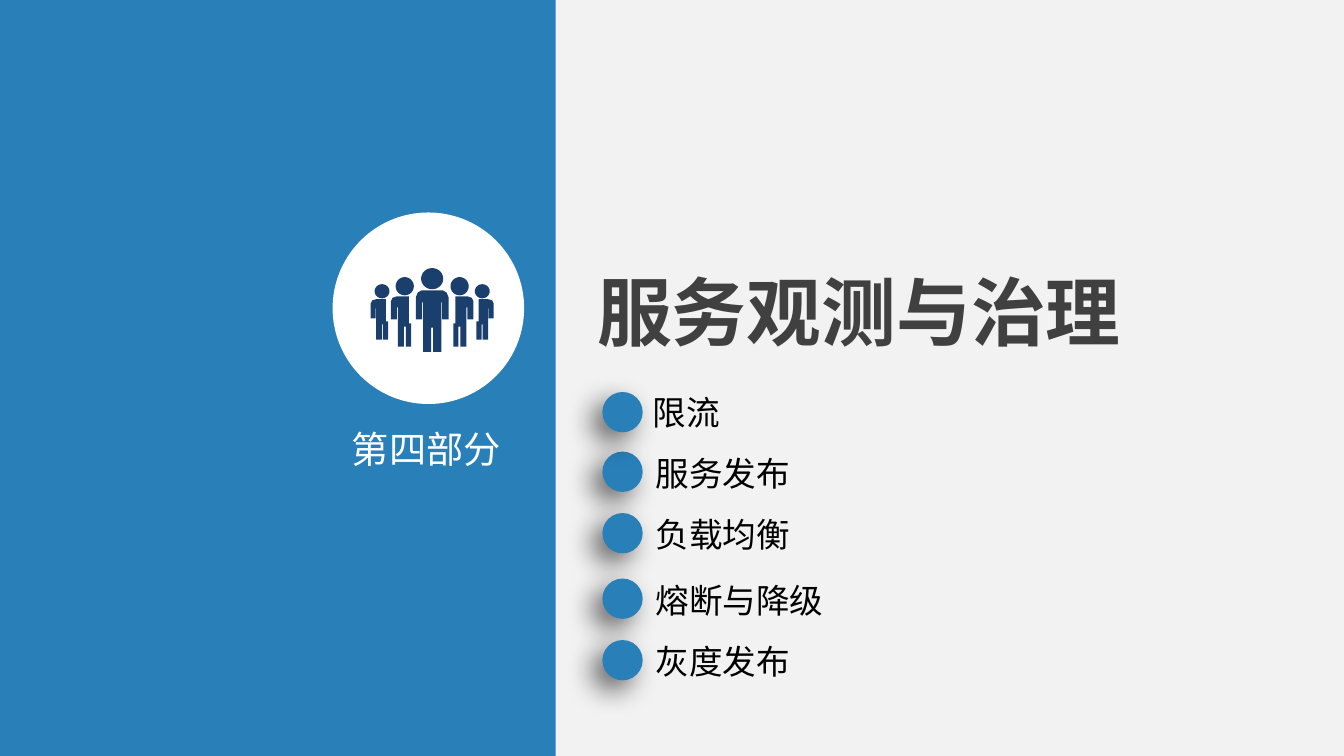
import math
import pptx
import pptx.util
import pptx.dml.color
import pptx.enum.shapes
import pptx.enum.text
import pptx.oxml
import pptx.oxml.ns

Pt = pptx.util.Pt
RGB = pptx.dml.color.RGBColor.from_string
Kind = pptx.enum.shapes.MSO_SHAPE

theme = {
    "back": "F2F2F2", "blue": "2980B9", "navy": "1A3F6C", "white": "FFFFFF",
    "dark": "404040", "black": "000000",
    "title": 53.4, "part": 26.6, "item": 24,
    "latin": "Arial", "cjk": "Noto Sans CJK SC",
}

deck = pptx.Presentation()
deck.slide_width, deck.slide_height = Pt(960), Pt(540)
slide = deck.slides.add_slide(deck.slide_layouts[6])
slide.background.fill.solid()
slide.background.fill.fore_color.rgb = RGB(theme["back"])


def paint(shape, color):
    shape.shadow.inherit = False
    shape.fill.solid()
    shape.fill.fore_color.rgb = RGB(theme[color])
    shape.line.fill.background()
    return shape


def write(text, box, size, font, color, bold=False, wrap=False, inset=True):
    frame = slide.shapes.add_textbox(*map(Pt, box)).text_frame
    frame.word_wrap = wrap
    frame.auto_size = pptx.enum.text.MSO_AUTO_SIZE.SHAPE_TO_FIT_TEXT
    if not inset:
        frame.margin_left = frame.margin_right = 0
        frame.margin_top = frame.margin_bottom = 0
    run = frame.paragraphs[0].add_run()
    run.text = text
    run.font.size = Pt(theme[size])
    run.font.bold = bold
    run.font.name = theme[font]
    run.font.color.rgb = RGB(theme[color])
    east = pptx.oxml.parse_xml(
        f'<a:ea {pptx.oxml.ns.nsdecls("a")} typeface="{theme[font]}"/>')
    run.font._element.find(pptx.oxml.ns.qn("a:latin")).addnext(east)


# Left panel, title and part label
paint(slide.shapes.add_shape(Kind.RECTANGLE, 0, 0, Pt(397), Pt(540)), "blue")
write("服务观测与治理", (419.5, 186.5, 388, 72), "title", "latin", "dark", bold=True)
write("第四部分", (251.3, 304.2, 130.3, 32.4), "part", "cjk", "white",
      wrap=True, inset=False)

# White disc
paint(slide.shapes.add_shape(Kind.OVAL, Pt(237.6), Pt(151.8), Pt(136.8), Pt(136.8)),
      "white")

# Group of five people: offsets from the middle axis
axis = 308.7
half = [(0.7, 234), (0.7, 251.3), (6.5, 251.3), (6.5, 216), (7.2, 216),
        (7.2, 228.2), (11.7, 228.2), (11.7, 212.4), (10.3, 209), (7.5, 207.4)]
inner = [(15.1, 231.1), (15.1, 247.7), (18.7, 247.7), (18.7, 233.3), (20.2, 233.3),
         (20.2, 247.7), (24.5, 247.7), (24.5, 219.6), (25.2, 219.6), (25.2, 228.2),
         (29.5, 228.2), (29.5, 215.3), (28.3, 212.8), (25.2, 211.7), (16.6, 211.7),
         (16.6, 231.1)]
outer = [(31.5, 229.7), (31.5, 242.6), (35.3, 242.6), (35.3, 231.8), (36, 231.8),
         (36, 242.6), (40, 242.6), (40, 220.3), (40.3, 220.3), (40.3, 227.5),
         (43.9, 227.5), (43.9, 216.7), (42.8, 214.6), (40, 213.8), (33.1, 213.8),
         (33.1, 229.7)]
whole = half + [(-x, y) for x, y in reversed(half)]
# Side, body outline, head (offset, middle, width, height)
crowd = [(1, whole, (0, 199.1, 15.8, 15.1))]
for side in (-1, 1):
    crowd.append((side, inner, (19.6, 204.5, 13, 13)))
    crowd.append((side, outer, (35.8, 208.1, 10.6, 10.1)))

rings = []
for side, body, (off, mid, wide, high) in crowd:
    turns = [math.tau * step / 32 for step in range(32)]
    head = [(off + wide / 2 * math.cos(turn), mid + high / 2 * math.sin(turn))
            for turn in turns]
    for ring in (body, head):
        rings.append([(100 * (axis + side * x), 100 * y) for x, y in ring])

pen = slide.shapes.build_freeform(*rings[0][0], scale=Pt(0.01))
for ring in rings:
    if ring is not rings[0]:
        pen.move_to(*ring[0])
    pen.add_line_segments(ring[1:], close=True)
paint(pen.convert_to_shape(), "navy")

# Topic list: text, text left and top, text width, dot top
topics = [
    ("服务发布", 461.2, 319.7, 110.2, 322.6),
    ("负载均衡", 461.2, 363.6, 110.2, 366.5),
    ("熔断与降级", 461.2, 410.4, 134.6, 413.3),
    ("灰度发布", 461.2, 454.3, 110.2, 457.2),
    ("限流", 459, 276.5, 62.6, 280),
]
for text, left, top, wide, drop in topics:
    write(text, (left, top, wide, 36), "item", "cjk", "black")
    dot = paint(slide.shapes.add_shape(Kind.OVAL, Pt(430.3), Pt(drop),
                                       Pt(28.8), Pt(28.8)), "blue")
    # Soft shadow down and to the left
    glow = dot._element.spPr.find(pptx.oxml.ns.qn("a:effectLst"))
    glow.append(pptx.oxml.parse_xml(
        f'<a:outerShdw {pptx.oxml.ns.nsdecls("a")} blurRad="{Pt(20)}" dist="{Pt(10)}" '
        f'dir="{135 * 60000}" algn="tr" rotWithShape="0">'
        f'<a:srgbClr val="{theme["black"]}"><a:alpha val="60000"/></a:srgbClr>'
        '</a:outerShdw>'))

deck.save("out.pptx")
